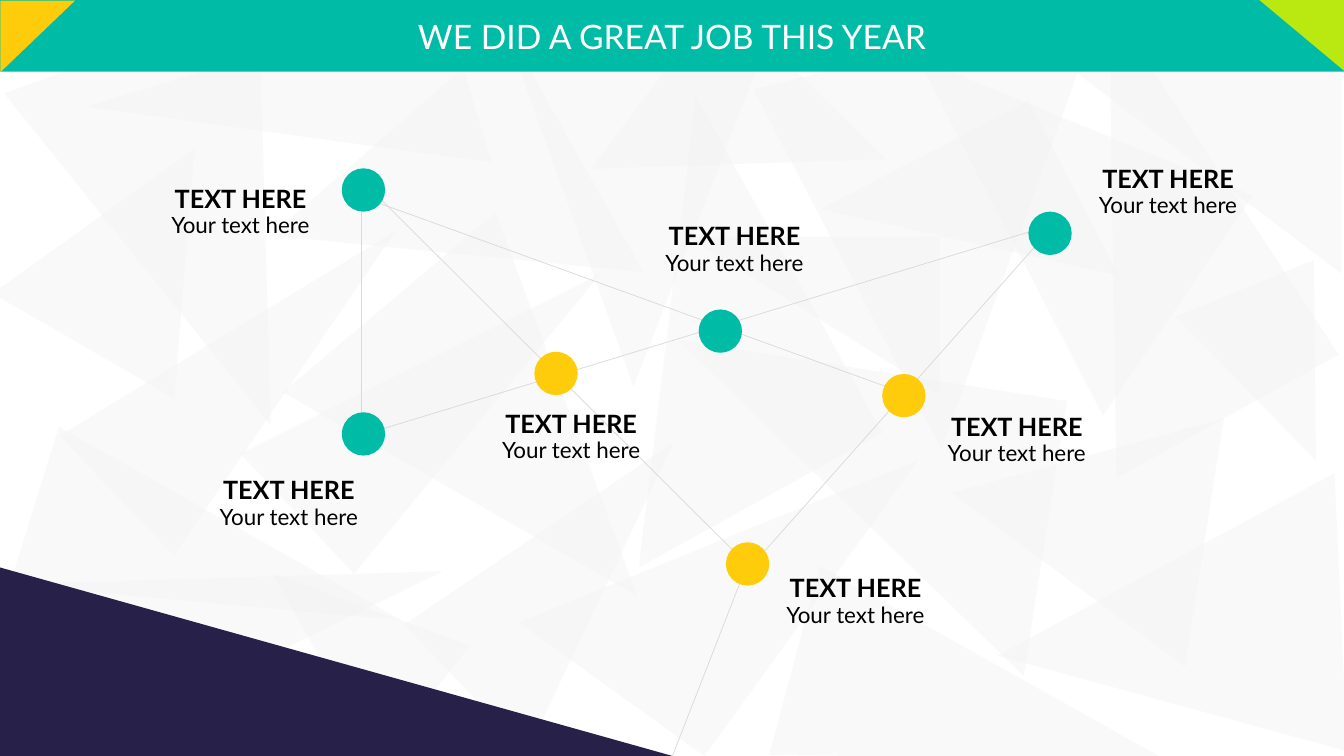
"""Build a one-slide network diagram with labelled nodes."""
from lxml import etree
from pptx import Presentation, util as u
from pptx.dml.color import RGBColor
from pptx.enum import shapes, text
from pptx.oxml.ns import qn

TEAL, YELLOW, LIME, NAVY = "00BBA6", "FFCC0B", "BAE811", "272049"
PALE, GREY, BLACK, WHITE = "F2F2F2", "D9D9D9", "000000", "FFFFFF"
FONT = "Lato"
TITLE = "WE DID A GREAT JOB THIS YEAR"
HEADING, BODY = "TEXT HERE", "Your text here"
OPACITY = 42
NODE_SIZE, LABEL_WIDTH, BODY_DROP = 0.43, 1.81, 0.28

# left, top, width, height, rotation, apex position
SHARDS = [
    (1.34, 3.68, 1.64, 3.81, 107.3, 0.5),
    (1.72, 4.22, 1.64, 3.81, 76.1, 0.5),
    (0.65, 0.34, 2.69, 4, 159.8, 0.5),
    (1.72, 1.7, 1.64, 3.81, 46.5, 0.5),
    (4.89, 4.15, 1.76, 3.18, 46.5, 0.3),
    (3.71, 2.55, 2.76, 3.81, 139.8, 0.5),
    (9.44, 3.91, 2.49, 2.55, 278.9, 0.54),
    (7.06, 3.09, 2.76, 3.9, 278.9, 1),
    (5.99, 3.56, 2.27, 3.62, 35.8, 1),
    (9.91, 0.24, 2.52, 4.15, 331, 0.88),
    (5.24, 1.39, 2.76, 3.81, 331, 1),
    (6.08, 0.47, 2.29, 2.12, 224.6, 0.88),
    (7.9, 0.39, 3.58, 3.91, 165.8, 0.74),
    (5.5, 0.21, 2.76, 3.42, 165.8, 0.88),
    (3, 0.72, 2.76, 3.04, 240.7, 0.77),
    (10.21, 4.44, 2.76, 3.42, 267.4, 0.4),
    (7.29, 1.88, 1.56, 2.5, 270, 1),
    (-0.35, 1.7, 2.48, 1.88, 274.6, 0.36),
    (2.02, -0.51, 1.69, 3.69, 253.2, 1),
    (10.56, -0.03, 2.76, 2.73, 270, 0.75),
    (3.51, 1.88, 1.64, 3.81, 46.5, 0.71),
    (8.75, 5.14, 1.94, 3.81, 105, 0.5),
    (11.96, 2.79, 1.48, 1.85, 157.6, 0.5),
    (2.69, 5.39, 1.48, 1.97, 308.3, 0.56),
    (8.91, 0.29, 2.64, 3.51, 304.2, 0.72),
    (8.46, 1.43, 2.32, 1.95, 152.5, 0),
]
LINKS = [
    (7.41, 5.6, 6.67, 7.5),
    (3.58, 1.78, 7.44, 5.63),
    (3.58, 4.32, 10.44, 2.23),
    (7.44, 5.63, 10.44, 2.25),
    (3.58, 1.95, 8.94, 3.89),
    (3.58, 1.78, 3.58, 4.49),
]
# node left, node top, colour, label left, label top
NODES = [
    (3.39, 1.67, TEAL, 1.48, 1.77),
    (3.39, 4.09, TEAL, 1.96, 4.66),
    (6.93, 3.07, TEAL, 6.38, 2.14),
    (5.3, 3.49, YELLOW, 4.76, 4),
    (7.2, 5.38, YELLOW, 7.58, 5.63),
    (8.75, 3.71, YELLOW, 9.18, 4.03),
    (10.2, 2.1, TEAL, 10.68, 1.57),
]


def rgb(value):
    return RGBColor.from_string(value)


def add_shape(s, kind, box, color, rotation=0):
    sp = s.shapes.add_shape(kind, *map(u.Inches, box))
    sp.shadow.inherit = False
    sp.fill.solid()
    sp.fill.fore_color.rgb = rgb(color)
    sp.line.fill.background()
    sp.rotation = rotation
    return sp


def add_shard(s, box, rotation, apex):
    sp = add_shape(s, shapes.MSO_SHAPE.ISOSCELES_TRIANGLE, box, PALE, rotation)
    sp.adjustments[0] = apex
    fill = sp.fill._xPr.find(qn("a:solidFill"))
    etree.SubElement(fill[0], qn("a:alpha"), val=str(OPACITY * 1000))


def add_link(s, ends):
    line = s.shapes.add_connector(shapes.MSO_CONNECTOR.STRAIGHT, *map(u.Inches, ends))
    line.line.color.rgb = rgb(GREY)
    line.line.width = u.Pt(0.5)
    etree.SubElement(line._element.spPr, qn("a:effectLst"))


def write(sp, words, size, color=BLACK, bold=False):
    tf = sp.text_frame
    tf.word_wrap = True
    p = tf.paragraphs[0]
    p.alignment = text.PP_ALIGN.CENTER
    r = p.add_run()
    r.text = words
    r.font.name, r.font.size, r.font.bold = FONT, u.Pt(size), bold
    r.font.color.rgb = rgb(color)


def add_label(s, left, top):
    for words, y, height, size, bold in (
        (HEADING, top, 0.4, 18, True),
        (BODY, top + BODY_DROP, 0.37, 16, False),
    ):
        box = s.shapes.add_textbox(*map(u.Inches, (left, y, LABEL_WIDTH, height)))
        write(box, words, size, bold=bold)


def main():
    prs = Presentation()
    prs.slide_width, prs.slide_height = u.Inches(13.33), u.Inches(7.5)
    s = prs.slides.add_slide(prs.slide_layouts[6])
    s.background.fill.solid()
    s.background.fill.fore_color.rgb = rgb(WHITE)

    for *box, rotation, apex in SHARDS:
        add_shard(s, box, rotation, apex)
    for ends in LINKS:
        add_link(s, ends)
    for left, top, color, *_ in NODES:
        add_shape(s, shapes.MSO_SHAPE.OVAL, (left, top, NODE_SIZE, NODE_SIZE), color)
    for *_, left, top in NODES:
        add_label(s, left, top)

    corner = shapes.MSO_SHAPE.RIGHT_TRIANGLE
    add_shape(s, corner, (0, 5.63, 6.67, 1.87), NAVY)
    banner = add_shape(s, shapes.MSO_SHAPE.RECTANGLE, (0, 0, 13.33, 0.71), TEAL)
    banner.text_frame.vertical_anchor = text.MSO_ANCHOR.MIDDLE
    write(banner, TITLE, 24, WHITE)
    add_shape(s, corner, (0.02, -0.01, 0.71, 0.74), YELLOW, 90)
    add_shape(s, corner, (12.49, 0, 0.85, 0.71), LIME, 180)
    prs.save("out.pptx")


if __name__ == "__main__":
    main()
